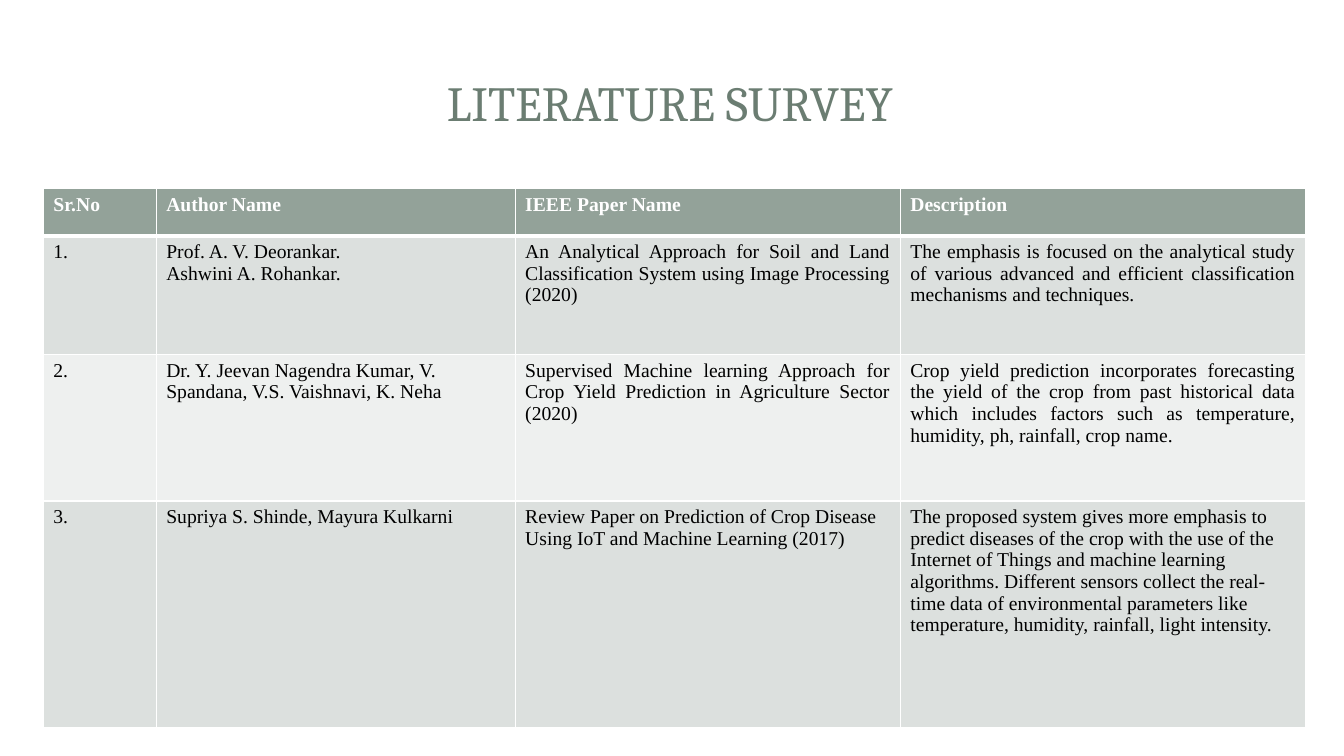
from lxml import etree
from pptx import Presentation
from pptx.dml.color import RGBColor
from pptx.enum.shapes import MSO_SHAPE
from pptx.enum.text import MSO_ANCHOR, PP_ALIGN
from pptx.oxml.ns import qn
from pptx.util import Inches, Pt

LEFT, CENTER, JUSTIFY = PP_ALIGN.LEFT, PP_ALIGN.CENTER, PP_ALIGN.JUSTIFY
MIDDLE = MSO_ANCHOR.MIDDLE
RECT, ROUNDED = MSO_SHAPE.RECTANGLE, MSO_SHAPE.ROUNDED_RECTANGLE

WHITE, BLACK = "FFFFFF", "000000"
TITLE_COLOR, HEADER_FILL = "6B7D72", "93A299"
BAND_FILLS = ["DCE0DE", "EEF0EF"]

COL_WIDTHS = [1.12, 3.56, 3.82, 4.02]
ROW_HEIGHTS = [0.47, 1.18, 1.45, 2.25]
HEADERS = ["Sr.No", "Author Name", "IEEE Paper Name", "Description"]
PAPERS = [
    ("Prof. A. V. Deorankar.\nAshwini A. Rohankar.",
     "An Analytical Approach for Soil and Land Classification System "
     "using Image Processing (2020)",
     "The emphasis is focused on the analytical study of various advanced "
     "and efficient classification mechanisms and techniques.",
     JUSTIFY),
    ("Dr. Y. Jeevan Nagendra Kumar, V. Spandana, V.S. Vaishnavi, K. Neha",
     "Supervised Machine learning Approach for Crop Yield Prediction "
     "in Agriculture Sector (2020)",
     "Crop yield prediction incorporates forecasting the yield of the crop "
     "from past historical data which includes factors such as temperature, "
     "humidity, ph, rainfall, crop name.",
     JUSTIFY),
    ("Supriya S. Shinde, Mayura Kulkarni",
     "Review Paper on Prediction of Crop Disease Using IoT and "
     "Machine Learning (2017)",
     "The proposed system gives more emphasis to predict diseases of the crop "
     "with the use of the Internet of Things and machine learning algorithms. "
     "Different sensors collect the real-time data of environmental parameters "
     "like temperature, humidity, rainfall, light intensity.",
     LEFT),
]


def rgb(color):
    return RGBColor.from_string(color)


def write_text(tf, text, font="Times New Roman", size=14, color=BLACK,
               bold=False, align=LEFT):
    tf.word_wrap = True
    for i, line in enumerate(text.split("\n")):
        p = tf.add_paragraph() if i else tf.paragraphs[0]
        p.alignment = align
        r = p.add_run()
        r.text = line
        r.font.name = font
        r.font.size = Pt(size)
        r.font.bold = bold
        r.font.color.rgb = rgb(color)


def add_panel(s, shape, left, top, width, height, radius=None, opacity=100):
    sp = s.shapes.add_shape(shape, Inches(left), Inches(top),
                            Inches(width), Inches(height))
    sp.shadow.inherit = False
    sp.line.fill.background()
    sp.fill.solid()
    sp.fill.fore_color.rgb = rgb(WHITE)
    if radius is not None:
        sp.adjustments[0] = radius
    if opacity < 100:
        color = sp._element.spPr.find(qn("a:solidFill"))[0]
        etree.SubElement(color, qn("a:alpha"), val=str(opacity * 1000))


def set_borders(cell, top=1, bottom=1):
    tc_pr = cell._tc.get_or_add_tcPr()
    widths = {"lnL": 1, "lnR": 1, "lnT": top, "lnB": bottom}
    for side, width in widths.items():
        ln = etree.SubElement(tc_pr, qn(f"a:{side}"), w=str(Pt(width)))
        fill = etree.SubElement(ln, qn("a:solidFill"))
        etree.SubElement(fill, qn("a:srgbClr"), val=WHITE)


def fill_cell(cell, text, fill, top=1, bottom=1, **text_format):
    set_borders(cell, top, bottom)
    cell.fill.solid()
    cell.fill.fore_color.rgb = rgb(fill)
    write_text(cell.text_frame, text, **text_format)


def add_title(s, text):
    box = s.shapes.add_textbox(Inches(0.62), Inches(0.45),
                               Inches(12.05), Inches(1.13))
    tf = box.text_frame
    tf.vertical_anchor = MIDDLE
    write_text(tf, text, font="Cambria", size=35, color=TITLE_COLOR,
               align=CENTER)


def add_survey_table(s):
    frame = s.shapes.add_table(len(ROW_HEIGHTS), len(COL_WIDTHS),
                               Inches(0.43), Inches(1.87),
                               Inches(sum(COL_WIDTHS)),
                               Inches(sum(ROW_HEIGHTS)))
    table = frame.table
    for column, width in zip(table.columns, COL_WIDTHS):
        column.width = Inches(width)
    for row, height in zip(table.rows, ROW_HEIGHTS):
        row.height = Inches(height)

    for col, header in enumerate(HEADERS):
        fill_cell(table.cell(0, col), header, HEADER_FILL, bottom=3,
                  color=WHITE, bold=True)
    for row, (authors, paper, description, align) in enumerate(PAPERS, 1):
        fill = BAND_FILLS[(row - 1) % 2]
        top = 3 if row == 1 else 1
        values = [f"{row}.", authors, paper, description]
        for col, value in enumerate(values):
            fill_cell(table.cell(row, col), value, fill, top=top,
                      align=align if col >= 2 else LEFT)


def main():
    prs = Presentation()
    prs.slide_width, prs.slide_height = Inches(13.33), Inches(7.5)
    s = prs.slides.add_slide(prs.slide_layouts[6])
    add_panel(s, ROUNDED, 0.13, 0.11, 13.07, 7.29, radius=0.02)
    add_panel(s, RECT, 0.4, 0.3, 12.53, 1.45, opacity=83)
    add_panel(s, RECT, 0.54, 0.41, 12.22, 1.22)
    add_title(s, "LITERATURE SURVEY")
    add_survey_table(s)
    prs.save("out.pptx")


if __name__ == "__main__":
    main()
